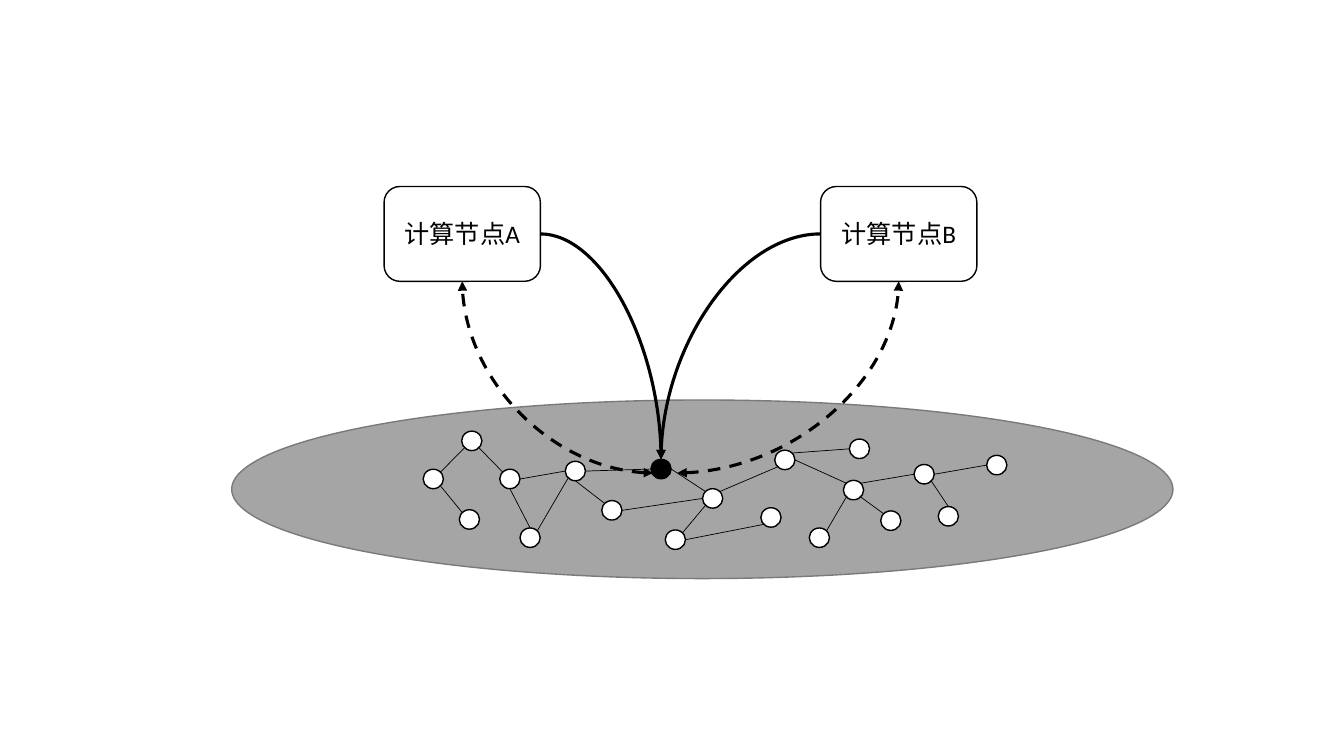
from math import cos, radians, sin

from lxml.etree import SubElement
from pptx import Presentation
from pptx.dml.color import RGBColor
from pptx.enum.dml import MSO_LINE
from pptx.enum.shapes import MSO_CONNECTOR, MSO_SHAPE
from pptx.enum.text import MSO_ANCHOR, PP_ALIGN
from pptx.oxml.ns import qn
from pptx.util import Cm, Pt

BLACK, WHITE = "000000", "FFFFFF"
DOT_W, DOT_H = 0.51, 0.49

# Centres in cm from the top left of the pool
DOTS = {
    "a": (5.08, 1.99), "b": (6.05, 1.03), "c": (5.99, 3.01), "d": (7.01, 1.99),
    "e": (7.52, 3.47), "f": (8.66, 1.79), "g": (9.58, 2.78), "hub": (10.82, 1.74),
    "h": (12.12, 2.48), "i": (11.18, 3.52), "j": (13.59, 2.96), "k": (13.94, 1.51),
    "l": (15.82, 1.23), "m": (15.67, 2.27), "n": (14.81, 3.47), "o": (16.61, 3.04),
    "p": (17.45, 1.87), "q": (18.06, 2.93), "r": (19.28, 1.64),
}
# Start dot and side, end dot and side
LINKS = """a NE b SW, a SE c NW, b SE d NW, e NE f SW, d E f W, d S e N, f E hub W,
f S g NW, g E h W, hub E h NW, h SW i NE, i E j SW, h NE k SW, k NE l W, k E m NW,
m SW n NE, m NE p W, p E r W, p SE q N, m SE o NW"""
SIDES = {side: radians(45 * n)
         for n, side in enumerate(["E", "SE", "S", "SW", "W", "NW", "N", "NE"])}


def color(code):
    return RGBColor.from_string(code)


def add_form(slide, kind, box, fill, edge=BLACK):
    form = slide.shapes.add_shape(kind, *map(Cm, box))
    form.shadow.inherit = False
    form.fill.solid()
    form.fill.fore_color.rgb = color(fill)
    form.line.color.rgb = color(edge)
    form.line.width = Pt(1)
    return form


def add_text(form, text, size=18, font="Calibri", ink=BLACK):
    frame = form.text_frame
    frame.word_wrap = True
    frame.vertical_anchor = MSO_ANCHOR.MIDDLE
    par = frame.paragraphs[0]
    par.alignment = PP_ALIGN.CENTER
    run = par.add_run()
    run.text = text
    run.font.size = Pt(size)
    run.font.name = font
    run.font.color.rgb = color(ink)


def add_line(slide, kind, start, end, width):
    line = slide.shapes.add_connector(kind, *map(Cm, (*start, *end)))
    line.line.color.rgb = color(BLACK)
    line.line.width = Pt(width)
    SubElement(line._element.spPr, qn("a:effectLst"))
    return line


def add_curve(slide, start, end, heads, dash=False):
    """Leaves the start level and meets the end upright."""
    curve = add_line(slide, MSO_CONNECTOR.CURVE, start, end, 2.25)
    props = curve._element.spPr
    props.find(qn("a:prstGeom")).set("prst", "curvedConnector2")
    if dash:
        curve.line.dash_style = MSO_LINE.DASH
    for head in heads:
        SubElement(props.find(qn("a:ln")), qn(f"a:{head}")).set("type", "triangle")
    return curve


def draw_pool(slide, box):
    """Draws the ellipse with its net of dots; returns the hub and its centre."""
    left, top = box[:2]
    add_form(slide, MSO_SHAPE.OVAL, box, "A5A5A5", "7A7A7A")
    spots = {name: (left + x, top + y) for name, (x, y) in DOTS.items()}
    forms = {}
    for name, (x, y) in spots.items():
        forms[name] = add_form(slide, MSO_SHAPE.FLOWCHART_CONNECTOR,
                               (x - DOT_W / 2, y - DOT_H / 2, DOT_W, DOT_H),
                               BLACK if name == "hub" else WHITE)

    def rim(name, side):
        x, y = spots[name]
        return x + DOT_W / 2 * cos(SIDES[side]), y + DOT_H / 2 * sin(SIDES[side])

    for link in LINKS.split(","):
        one, out, two, into = link.split()
        add_line(slide, MSO_CONNECTOR.STRAIGHT, rim(one, out), rim(two, into), 0.5)
    return forms["hub"], spots["hub"]


def draw_peer(slide, box, text, hub, spot, side, gap):
    """Draws a compute node and its two curves; side is the box side facing the hub."""
    left, top, wide, high = box
    x, y = spot
    peer = add_form(slide, MSO_SHAPE.ROUNDED_RECTANGLE, box, WHITE)
    add_text(peer, text)
    # Dashed two-way curve under the box
    back = add_curve(slide, (x + gap, y + 0.1), (left + wide / 2, top + high),
                     ["headEnd", "tailEnd"], dash=True)
    back.end_connect(peer, 2)
    # Solid curve to the hub
    edge = left + wide if side == 3 else left
    go = add_curve(slide, (edge, top + high / 2), (x, y - DOT_H / 2), ["tailEnd"])
    go.begin_connect(peer, side)
    go.end_connect(hub, 0)


def main():
    deck = Presentation()
    deck.slide_width, deck.slide_height = Cm(33.87), Cm(19.05)
    slide = deck.slides.add_slide(deck.slide_layouts[6])
    hub, spot = draw_pool(slide, (5.84, 10.08, 23.72, 4.5))
    draw_peer(slide, (9.68, 4.7, 3.94, 2.39), "计算节点A", hub, spot, 3, -0.2)
    draw_peer(slide, (20.68, 4.7, 3.94, 2.39), "计算节点B", hub, spot, 1, 0.41)
    deck.save("out.pptx")


if __name__ == "__main__":
    main()
